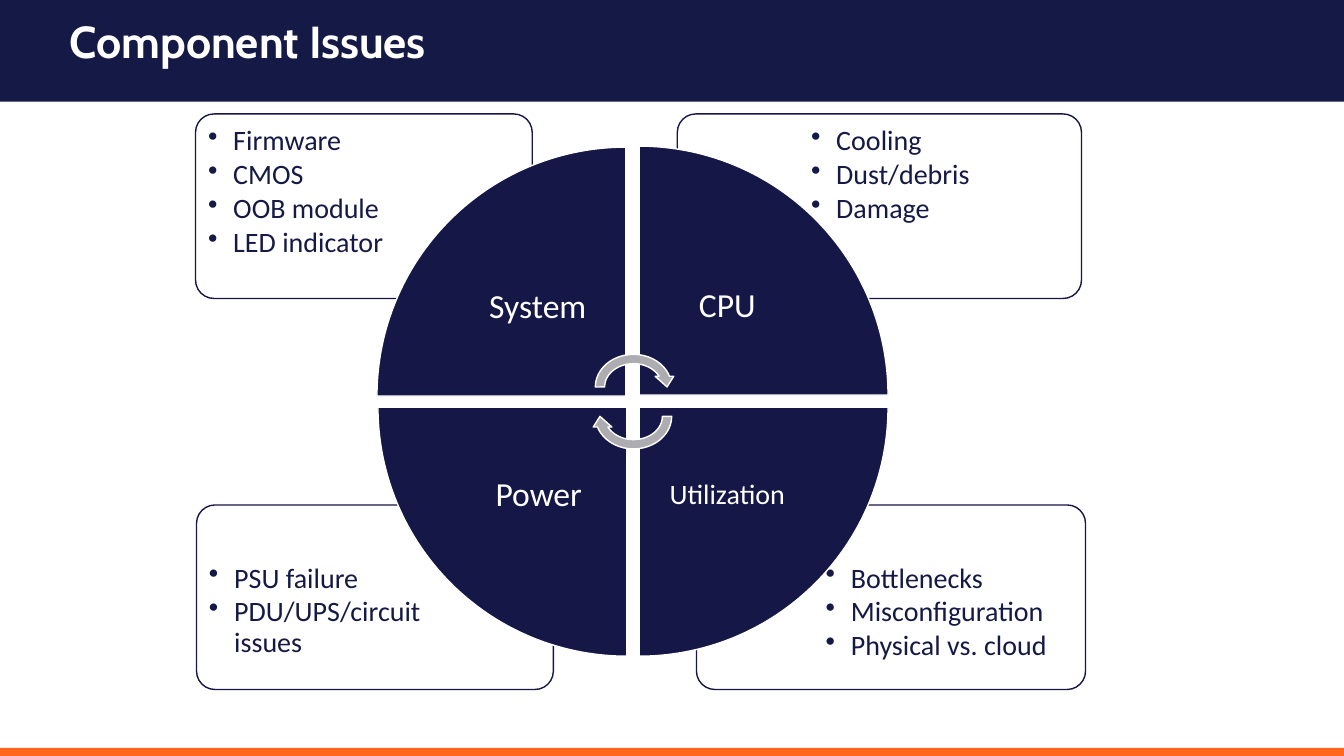
from dataclasses import dataclass

from lxml import etree
from pptx import Presentation
from pptx.dml.color import RGBColor
from pptx.enum.shapes import MSO_SHAPE
from pptx.enum.text import MSO_ANCHOR, MSO_AUTO_SIZE, PP_ALIGN
from pptx.oxml.ns import qn
from pptx.util import Pt

RECT, CARD = MSO_SHAPE.RECTANGLE, MSO_SHAPE.ROUNDED_RECTANGLE
WEDGE, CYCLE_ARROW = MSO_SHAPE.PIE_WEDGE, MSO_SHAPE.CIRCULAR_ARROW
TOP, MIDDLE = MSO_ANCHOR.TOP, MSO_ANCHOR.MIDDLE
LEFT, CENTER = PP_ALIGN.LEFT, PP_ALIGN.CENTER

# Content
TITLE = "Component Issues"
# label, label size, column, row, wedge (left, top), rotation, card (left, width), issues
QUADRANTS = [
    ("System", 24, 0, 0, (269.3, 105.1), 0, (139.7, 240.5),
     ["Firmware", "CMOS", "OOB module", "LED indicator"]),
    ("CPU", 24, 1, 0, (456.5, 104.4), 90, (483.8, 288.7),
     ["Cooling", "Dust/debris", "Damage"]),
    ("Utilization", 20, 1, 1, (456.5, 290.9), 180, (497.5, 277.9),
     ["Bottlenecks", "Misconfiguration", "Physical vs. cloud"]),
    ("Power", 24, 0, 1, (270, 290.9), 270, (140.4, 254.9),
     ["PSU failure", "PDU/UPS/circuit issues"]),
]
CYCLE_ARROWS = [(249.8, 0), (270.7, 180)]  # top, rotation


@dataclass(frozen=True)
class Theme:
    navy: str = "151945"
    wedge: str = "151746"
    orange: str = "FF671F"
    white: str = "FFFFFF"
    grey: str = "ACACB1"
    heading_font: str = "Cabin"
    body_font: str = "Calibri"
    title_size: int = 32
    issue_size: int = 20


THEME = Theme()

# Layout, in points
SLIDE_W, SLIDE_H = 960, 540
CARD_TOPS, CARD_H = (81.4, 360.7), 131.8
CARD_PAD, ISSUES_H, ISSUES_DROP = 2.9, 92.9, 33.1
ISSUES_SHARE = 0.7
WEDGE_SIZE, LABEL_SIZE = 177.8, 126
BULLET_INDENT = 18


def set_all(target, values):
    for name, value in values.items():
        setattr(target, name, value)


def color(value):
    return RGBColor.from_string(value)


def points(*values):
    return [Pt(value) for value in values]


def add_panel(kind, box, fill, line=None, rotation=0):
    panel = slide.shapes.add_shape(kind, *points(*box))
    panel.shadow.inherit = False
    panel.rotation = rotation
    panel.fill.solid()
    panel.fill.fore_color.rgb = color(fill)
    if line:
        panel.line.color.rgb = color(line)
        panel.line.width = Pt(1)
    else:
        panel.line.fill.background()
    return panel


def format_paragraph(paragraph, text, size, ink, font=THEME.body_font,
                     align=LEFT, bold=False):
    set_all(paragraph, {"text": text, "alignment": align, "line_spacing": 0.9})
    set_all(paragraph.font, {"size": Pt(size), "name": font, "bold": bold})
    paragraph.font.color.rgb = color(ink)


def format_frame(frame, anchor, inset):
    set_all(frame, {"word_wrap": True, "auto_size": MSO_AUTO_SIZE.NONE,
                    "vertical_anchor": anchor})
    for side in ("left", "top", "right", "bottom"):
        setattr(frame, f"margin_{side}", Pt(inset))


def add_text_frame(box, anchor, inset):
    frame = slide.shapes.add_textbox(*points(*box)).text_frame
    format_frame(frame, anchor, inset)
    return frame


def add_bullet(paragraph):
    properties = paragraph._p.get_or_add_pPr()
    properties.set("marL", str(Pt(BULLET_INDENT)))
    properties.set("indent", str(-Pt(BULLET_INDENT)))
    etree.SubElement(properties, qn("a:buChar"), char="•")


def add_card(column, row, left, width, issues):
    top = CARD_TOPS[row]
    card = add_panel(CARD, (left, top, width, CARD_H), THEME.white, THEME.wedge)
    card.adjustments[0] = 0.1
    fill_color = card.fill._xPr.find(qn("a:solidFill"))[0]
    etree.SubElement(fill_color, qn("a:alpha"), val="90000")

    text_left = left + CARD_PAD + column * (1 - ISSUES_SHARE) * width
    text_top = top + CARD_PAD + row * ISSUES_DROP
    text_width = ISSUES_SHARE * width - 2 * CARD_PAD
    frame = add_text_frame((text_left, text_top, text_width, ISSUES_H), TOP, 6)
    for index, issue in enumerate(issues):
        paragraph = frame.add_paragraph() if index else frame.paragraphs[0]
        add_bullet(paragraph)
        format_paragraph(paragraph, issue, THEME.issue_size, THEME.navy)
        paragraph.space_after = Pt(2.6)


def add_wedge(label, size, column, row, left, top, rotation):
    add_panel(WEDGE, (left, top, WEDGE_SIZE, WEDGE_SIZE),
              THEME.wedge, THEME.white, rotation)
    # The label square sits in the wedge's corner at the centre of the circle
    shift = WEDGE_SIZE - LABEL_SIZE
    box = (left + (1 - column) * shift, top + (1 - row) * shift,
           LABEL_SIZE, LABEL_SIZE)
    frame = add_text_frame(box, MIDDLE, 0.56 * size)
    format_paragraph(frame.paragraphs[0], label, size, THEME.white, align=CENTER)


presentation = Presentation()
set_all(presentation, {"slide_width": Pt(SLIDE_W), "slide_height": Pt(SLIDE_H)})
slide = presentation.slides.add_slide(presentation.slide_layouts[5])

# Header and footer bands, with the title in front of them
add_panel(RECT, (-5.8, -5.8, 971.6, 78.5), THEME.navy)
add_panel(RECT, (0, 534.2, SLIDE_W, 5.8), THEME.orange)
title = slide.shapes.title
slide.shapes._spTree.append(title._element)
set_all(title, dict(zip(("left", "top", "width", "height"),
                        points(42.5, -9.4, 917.5, 82.1))))
format_frame(title.text_frame, MIDDLE, 7.2)
format_paragraph(title.text_frame.paragraphs[0], TITLE, THEME.title_size,
                 THEME.white, THEME.heading_font, bold=True)

# Cards behind the circle
for _, _, column, row, _, _, card_span, issues in QUADRANTS:
    add_card(column, row, *card_span, issues)

# Circle of four wedges
for label, size, column, row, corner, rotation, _, _ in QUADRANTS:
    add_wedge(label, size, column, row, *corner, rotation)

# Cycle arrows at the centre
for top, rotation in CYCLE_ARROWS:
    add_panel(CYCLE_ARROW, (421.9, top, 61.2, 53.3), THEME.grey, THEME.white, rotation)

presentation.save("out.pptx")
